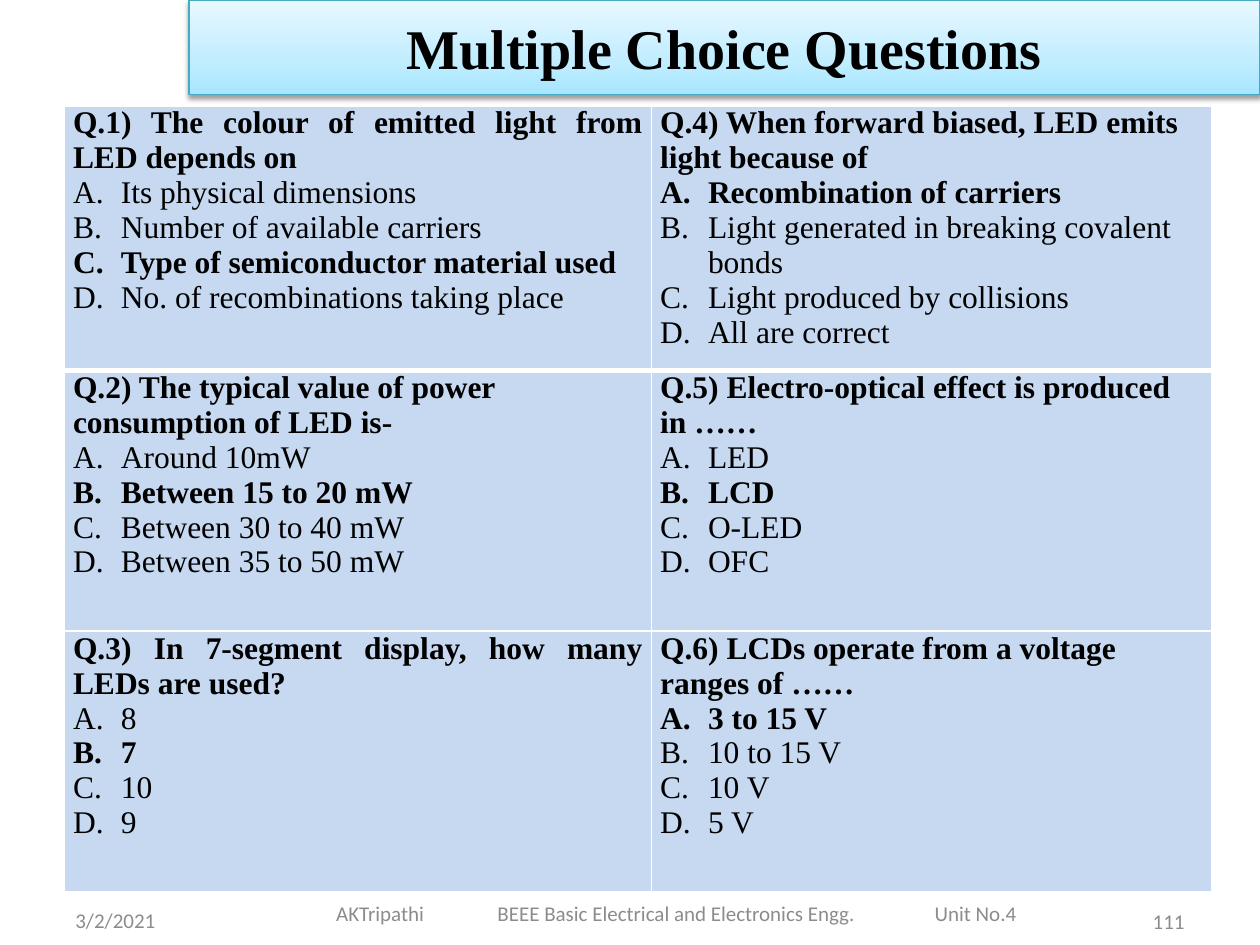
from lxml import etree
from pptx import Presentation
from pptx.dml.color import RGBColor
from pptx.enum.text import MSO_ANCHOR, PP_ALIGN
from pptx.oxml import parse_xml
from pptx.oxml.ns import qn
from pptx.util import Inches, Pt

INK = {"text": "000000", "foot": "8C8C8C", "cell": "C6D9F1",
       "rule": "FFFFFF", "edge": "46AAC5"}
FADE = [(0, "A7E6FF"), (35, "C1EDFF"), (100, "E7F8FF")]
NS = 'xmlns:a="http://schemas.openxmlformats.org/drawingml/2006/main"'
LEFT, RIGHT = PP_ALIGN.LEFT, PP_ALIGN.RIGHT
MID, JUST = PP_ALIGN.CENTER, PP_ALIGN.JUSTIFY

# Each cell: question, its alignment, options, index of the right answer
GRID = [
    [("Q.1) The colour of emitted light from LED depends on", JUST,
      ["Its physical dimensions", "Number of available carriers",
       "Type of semiconductor material used",
       "No. of recombinations taking place"], 2),
     ("Q.4) When forward biased, LED emits light because of", LEFT,
      ["Recombination of carriers",
       "Light generated in breaking covalent bonds",
       "Light produced by collisions", "All are correct"], 0)],
    [("Q.2) The typical value of power consumption of LED is-", LEFT,
      ["Around 10mW", "Between 15 to 20 mW", "Between 30 to 40 mW",
       "Between 35 to 50 mW"], 1),
     ("Q.5) Electro-optical effect is produced in ……", LEFT,
      ["LED", "LCD", "O-LED", "OFC"], 1)],
    [("Q.3) In 7-segment display, how many LEDs are used?", JUST,
      ["8", "7", "10", "9"], 1),
     ("Q.6) LCDs operate from a voltage ranges of ……", LEFT,
      ["3 to 15 V", "10 to 15 V", "10 V", "5 V"], 0)],
]


class Deck:
    serif = {"name": "Times New Roman", "size": Pt(18)}
    small = {"name": "Calibri", "size": Pt(12)}

    def __init__(self):
        self.prs = Presentation()
        self.prs.slide_width, self.prs.slide_height = Inches(10), Inches(7.5)
        self.slide = self.prs.slides.add_slide(self.prs.slide_layouts[5])

    def style(self, para, look, ink, align):
        para.alignment = align
        for key, val in look.items():
            setattr(para.font, key, val)
        para.font.color.rgb = RGBColor.from_string(INK[ink])

    def title(self, text, box):
        shape = self.slide.shapes.title
        shape.left, shape.top, shape.width, shape.height = map(Inches, box)
        # Three-stop fade, rising from the bottom edge
        stops = "".join(f'<a:gs pos="{pos * 1000}"><a:srgbClr val="{hue}"/></a:gs>'
                        for pos, hue in FADE)
        props = shape.element.spPr
        props.append(parse_xml(
            f'<a:gradFill {NS} rotWithShape="1"><a:gsLst>{stops}</a:gsLst>'
            '<a:lin ang="16200000" scaled="0"/></a:gradFill>'))
        shape.line.color.rgb = RGBColor.from_string(INK["edge"])
        shape.line.width = Pt(0.75)
        props.append(parse_xml(
            f'<a:effectLst {NS}><a:outerShdw blurRad="{Pt(3.1)}" dist="{Pt(1.6)}" '
            'dir="5400000" rotWithShape="0"><a:srgbClr val="000000">'
            '<a:alpha val="38000"/></a:srgbClr></a:outerShdw></a:effectLst>'))
        frame = shape.text_frame
        frame.text = text
        frame.vertical_anchor = MSO_ANCHOR.MIDDLE
        look = {**self.serif, "size": Pt(32), "bold": True}
        self.style(frame.paragraphs[0], look, "text", MID)

    def note(self, text, box, align=LEFT, start=0, tabs=()):
        frame = self.slide.shapes.add_textbox(*map(Inches, box)).text_frame
        frame.word_wrap = True
        frame.vertical_anchor = MSO_ANCHOR.MIDDLE
        para = frame.paragraphs[0]
        para.text = text
        props = para._p.get_or_add_pPr()
        if tabs:
            props.set("marL", str(Inches(start)))
            stops = etree.SubElement(props, qn("a:tabLst"))
            for pos in tabs:
                etree.SubElement(stops, qn("a:tab"), pos=str(Inches(pos)), algn="l")
        self.style(para, self.small, "foot", align)

    def cell(self, cell, item, align, base):
        ask, lead, picks, right = item
        cell.margin_left = cell.margin_right = Inches(0.07)
        cell.margin_top = cell.margin_bottom = 0
        # Borders come before the fill
        props = cell._tc.get_or_add_tcPr()
        for side in "LRTB":
            width = Pt(base if side == "B" else 1)
            props.append(parse_xml(
                f'<a:ln{side} {NS} w="{width}"><a:solidFill><a:srgbClr '
                f'val="{INK["rule"]}"/></a:solidFill></a:ln{side}>'))
        cell.fill.solid()
        cell.fill.fore_color.rgb = RGBColor.from_string(INK["cell"])
        # Question, then lettered options
        frame = cell.text_frame
        para = frame.paragraphs[0]
        para.text = ask
        self.style(para, {**self.serif, "bold": True}, "text", lead)
        for num, pick in enumerate(picks):
            para = frame.add_paragraph()
            para.text = pick
            props = para._p.get_or_add_pPr()
            props.set("marL", str(Inches(0.38)))
            props.set("indent", str(-Inches(0.38)))
            etree.SubElement(props, qn("a:buFont"), typeface="+mj-lt")
            etree.SubElement(props, qn("a:buAutoNum"), type="alphaUcPeriod")
            self.style(para, {**self.serif, "bold": num == right}, "text", align)

    def table(self, grid, box, cols, rows):
        table = self.slide.shapes.add_table(
            len(rows), len(cols), *map(Inches, box)).table
        table.first_row = table.horz_banding = False
        for col, wide in zip(table.columns, cols):
            col.width = Inches(wide)
        for row, (tall, items) in enumerate(zip(rows, grid)):
            table.rows[row].height = Inches(tall)
            for col, item in enumerate(items):
                self.cell(table.cell(row, col), item, (JUST, LEFT)[col],
                          1 if row else 3)


def main():
    deck = Deck()
    # Banner and questions
    deck.title("Multiple Choice Questions", (1.5, 0, 8.5, 0.75))
    deck.table(GRID, (0.51, 0.84, 9.11, 6.24), (4.66, 4.45), (2.1, 2.07, 2.07))
    # Footer line
    deck.note("3/2/2021", (0.5, 7.1, 2.33, 0.4))
    deck.note("111", (7.17, 7.11, 2.33, 0.4), RIGHT)
    deck.note("AKTripathi\tBEEE Basic Electrical and Electronics Engg.\tUnit No.4",
              (2.48, 7.05, 5.7, 0.4), start=0.09, tabs=(1.28, 4.75))
    deck.prs.save("out.pptx")


if __name__ == "__main__":
    main()
